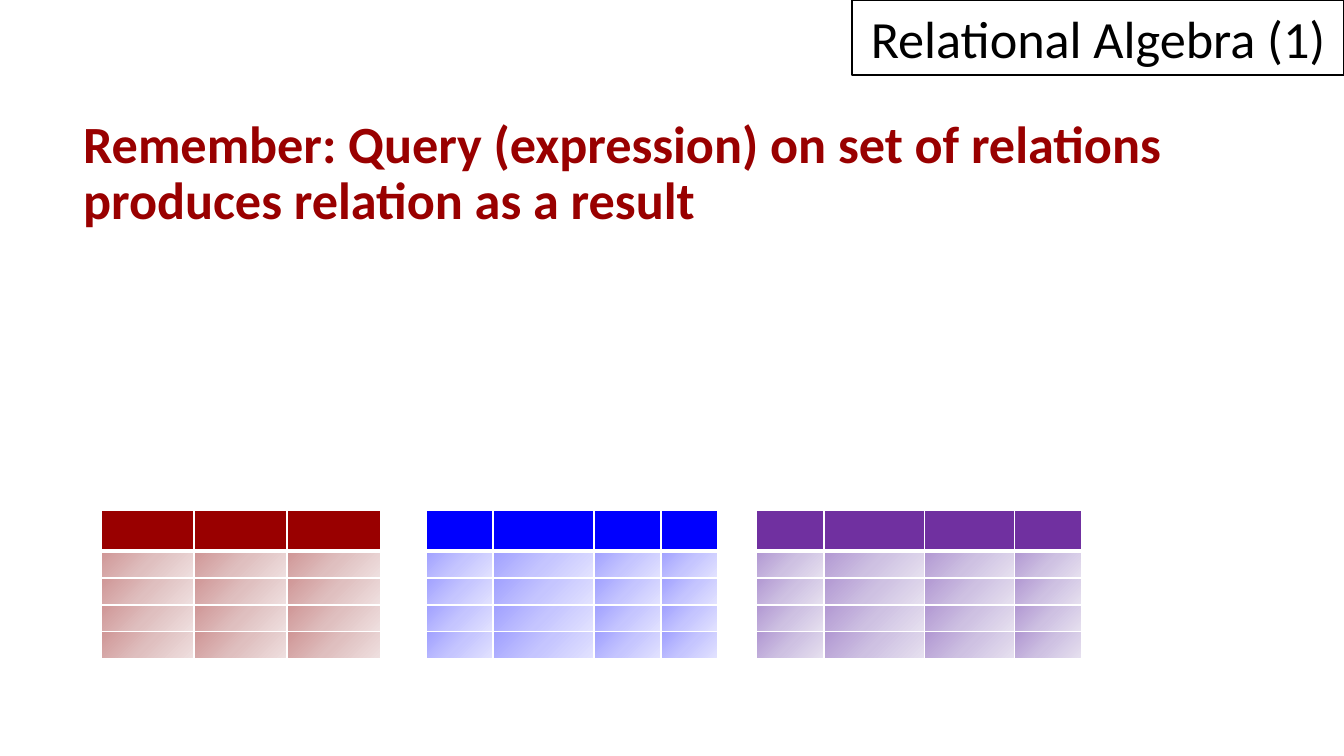
from pptx import Presentation
from pptx.dml.color import RGBColor
from pptx.enum.shapes import MSO_SHAPE
from pptx.enum.text import MSO_ANCHOR, PP_ALIGN
from pptx.oxml.ns import qn
from pptx.util import Inches, Pt
from lxml import etree

RECT = MSO_SHAPE.RECTANGLE
BOTTOM = MSO_ANCHOR.BOTTOM
CENTER, LEFT = PP_ALIGN.CENTER, PP_ALIGN.LEFT

FONT = "Calibri"
COLORS = {"white": "FFFFFF", "black": "000000", "red": "990000",
          "blue": "0000FF", "purple": "7030A0"}
TINTS = {"red": ("CF9595", "DFBFBF", "EFE0E0"),
         "blue": ("A0A0FF", "C5C5FF", "E3E3FF"),
         "purple": ("B197D2", "CEC1E2", "E7E1F0")}
ROW_HEIGHTS = (0.3, 0.2, 0.2, 0.2, 0.2)
# left edge, colour, column widths
RELATIONS = [(0.75, "red", (2.08 / 3,) * 3),
             (3.17, "blue", (0.5, 0.75, 0.5, 0.42)),
             (5.63, "purple", (0.5, 0.75, 0.67, 0.5))]


def rgb(name):
    return RGBColor.from_string(COLORS[name])


def add_run(p, text, color, bold=False):
    r = p.add_run()
    r.text = text
    r.font.name, r.font.size, r.font.bold = FONT, Pt(28), bold
    r.font.color.rgb = rgb(color)


def add_title(s, left, top, width, height):
    sp = s.shapes.add_shape(RECT, Inches(left), Inches(top),
                            Inches(width), Inches(height))
    sp.shadow.inherit = False
    sp.fill.background()
    sp.line.color.rgb, sp.line.width = rgb("black"), Pt(0.75)
    tf = sp.text_frame
    tf.word_wrap, tf.vertical_anchor = True, BOTTOM
    p = tf.paragraphs[0]
    p.alignment = CENTER
    add_run(p, "Relational Algebra (1)", "black")


def add_statement(s, left, top, width, height):
    tf = s.shapes.add_textbox(Inches(left), Inches(top),
                              Inches(width), Inches(height)).text_frame
    tf.word_wrap = True
    lines = ("Remember: Query (expression) on set of relations",
             "produces relation as a result")
    for i, line in enumerate(lines):
        p = tf.add_paragraph() if i else tf.paragraphs[0]
        p.alignment, p.line_spacing = LEFT, 0.9
        pPr = p._p.get_or_add_pPr()
        pPr.set("marL", str(Inches(0.3)))
        pPr.set("indent", str(Inches(-0.2)))
        add_run(p, line, "red", True)


def set_borders(cell, bottom):
    tcPr = cell._tc.get_or_add_tcPr()
    for i, (side, width) in enumerate(zip("LRTB", (1, 1, 1, bottom))):
        ln = etree.Element(qn(f"a:ln{side}"), w=str(Pt(width)))
        fill = etree.SubElement(ln, qn("a:solidFill"))
        etree.SubElement(fill, qn("a:srgbClr"), val=COLORS["white"])
        tcPr.insert(i, ln)


def set_gradient(cell, tints):
    grad = etree.SubElement(cell._tc.get_or_add_tcPr(), qn("a:gradFill"))
    stops = etree.SubElement(grad, qn("a:gsLst"))
    for i, tint in enumerate(tints):
        gs = etree.SubElement(stops, qn("a:gs"), pos=str(i * 50000))
        etree.SubElement(gs, qn("a:srgbClr"), val=tint)
    etree.SubElement(grad, qn("a:lin"), ang=str(45 * 60000), scaled="0")


def add_relation(s, left, top, color, widths):
    table = s.shapes.add_table(len(ROW_HEIGHTS), len(widths),
                               Inches(left), Inches(top), Inches(sum(widths)),
                               Inches(sum(ROW_HEIGHTS))).table
    for column, width in zip(table.columns, widths):
        column.width = Inches(width)
    for i, (row, height) in enumerate(zip(table.rows, ROW_HEIGHTS)):
        row.height = Inches(height)
        for cell in row.cells:
            cell.margin_top = cell.margin_bottom = 0
            # small type keeps the empty rows low
            p = cell.text_frame.paragraphs[0]
            etree.SubElement(p._p, qn("a:endParaRPr"), sz="600")
            if i == 0:
                cell.fill.solid()
                cell.fill.fore_color.rgb = rgb(color)
            else:
                set_gradient(cell, TINTS[color])
            set_borders(cell, 1 if i else 3)


prs = Presentation()
# Widescreen, 16 to 9
prs.slide_width = Inches(10)
prs.slide_height = prs.slide_width * 9 // 16
s = prs.slides.add_slide(prs.slide_layouts[6])

# Heading and statement
add_title(s, 6.34, 0, 3.66, 0.56)
add_statement(s, 0.42, 0.83, 9.08, 3.9)

# Three relations side by side
for left, color, widths in RELATIONS:
    add_relation(s, left, 3.8, color, widths)

prs.save("out.pptx")
